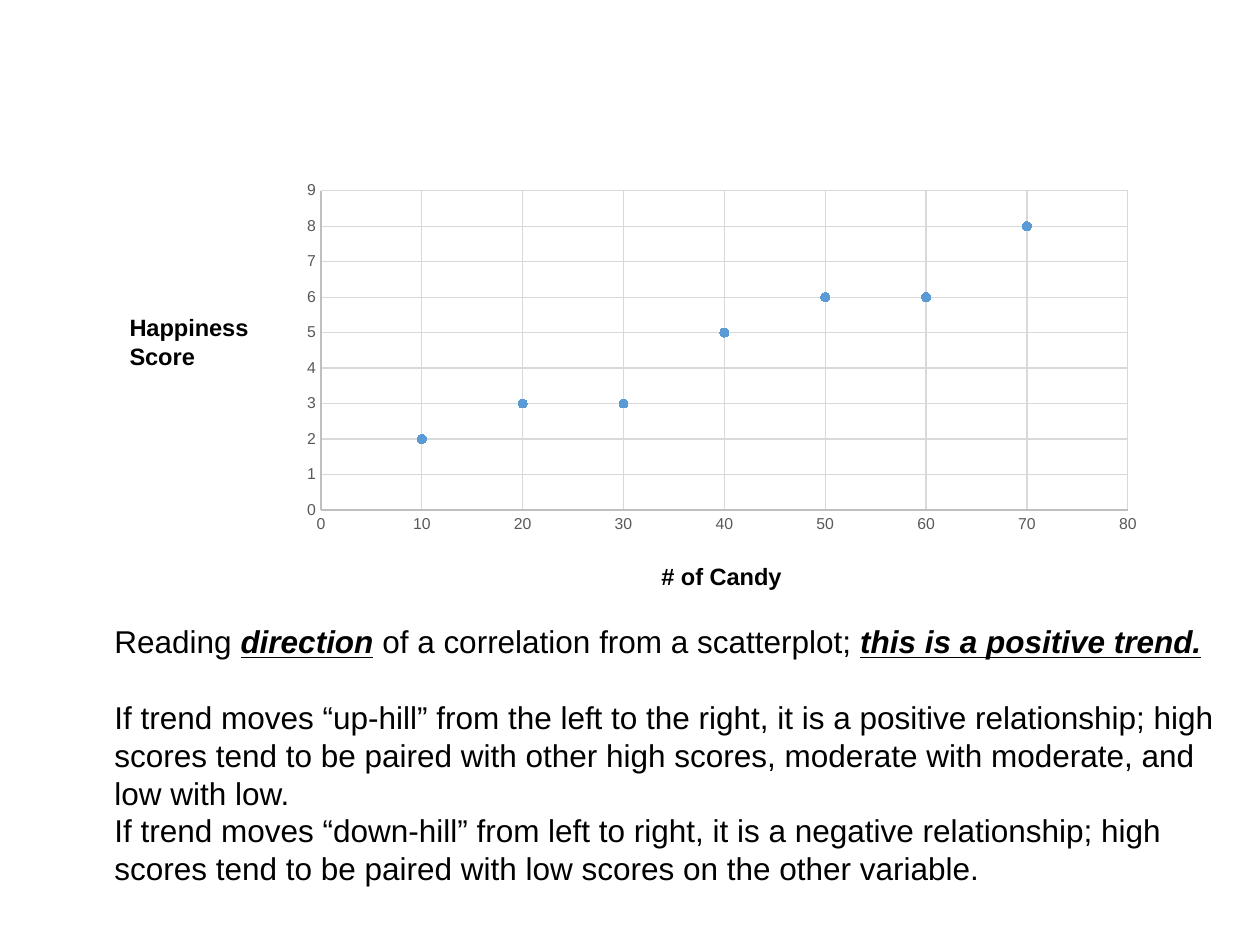
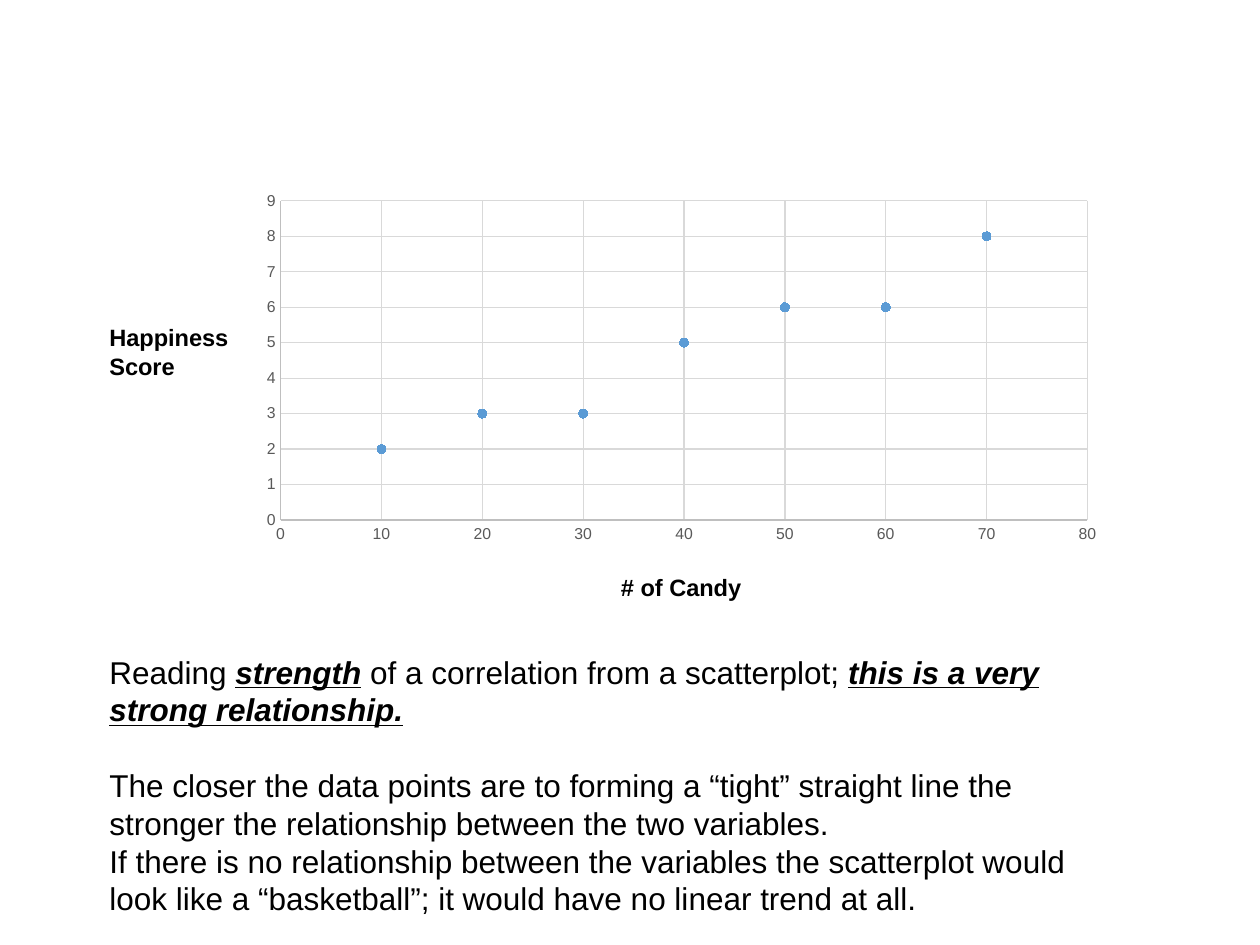
from dataclasses import dataclass

from lxml.etree import SubElement
from pptx import Presentation
from pptx.chart.axis import ValueAxis
from pptx.chart.data import XyChartData
from pptx.dml.color import RGBColor
from pptx.dml.line import LineFormat
from pptx.enum.chart import XL_CHART_TYPE, XL_MARKER_STYLE, XL_TICK_MARK
from pptx.oxml.ns import qn
from pptx.slide import Slide
from pptx.text.text import Font
from pptx.util import Inches, Pt

COLORS = {"text": "000000", "tick": "595959", "axis": "BFBFBF",
          "grid": "D9D9D9", "dot": "5B9BD5"}
FONT = "Arial"
CANDY = (10, 20, 30, 40, 50, 60, 70)
SCORES = (2, 3, 3, 5, 6, 6, 8)
PLOT = {"x": 0.038, "y": 0.043, "w": 0.946, "h": 0.877}

PLAIN = {"size": Pt(18), "name": FONT}
KEY = PLAIN | {"bold": True, "italic": True, "underline": True}
LABEL = {"size": Pt(13.5), "name": FONT, "bold": True}
TICK = {"size": Pt(9), "name": FONT}
BODY_PITCH, LABEL_PITCH = Pt(21.6), Pt(16.5)

Runs = list[tuple[str, dict]]


@dataclass(frozen=True)
class Box:
    left: float
    top: float
    width: float
    height: float

    def place(self) -> tuple:
        return tuple(map(Inches, (self.left, self.top, self.width, self.height)))


@dataclass(frozen=True)
class Lesson:
    chart: Box
    label: Box
    body: Box
    topic: str
    finding: str
    rules: tuple[str, str]


LESSONS = (
    Lesson(
        Box(2.29, 1.39, 6.77, 2.89), Box(0.93, 2.43, 1.36, 0.56),
        Box(0.81, 4.89, 9.19, 2.22),
        "direction", "this is a positive trend.",
        ("If trend moves “up-hill” from the left to the right, it is a positive "
         "relationship; high scores tend to be paired with other high scores, "
         "moderate with moderate, and low with low.",
         "If trend moves “down-hill” from left to right, it is a negative "
         "relationship; high scores tend to be paired with low scores on the "
         "other variable.")),
    Lesson(
        Box(1.97, 1.47, 6.77, 2.89), Box(0.77, 2.51, 1.2, 0.56),
        Box(0.77, 5.13, 7.84, 2.22),
        "strength", "this is a very strong relationship.",
        ("The closer the data points are to forming a “tight” straight line the "
         "stronger the relationship between the two variables.",
         "If there is no relationship between the variables the scatterplot "
         "would look like a “basketball”; it would have no linear trend at all.")),
)


def rgb(name: str) -> RGBColor:
    return RGBColor.from_string(COLORS[name])


def style(font: Font, form: dict, color: str = "text") -> None:
    for key, value in form.items():
        setattr(font, key, value)
    font.color.rgb = rgb(color)


def rule(line: LineFormat, color: str) -> None:
    """Give a chart line its colour and the shared width."""
    line.color.rgb = rgb(color)
    line.width = Pt(0.75)


def add_text(slide: Slide, box: Box, paras: list[Runs], pitch: Pt,
             gap: Pt = Pt(0)) -> None:
    """Write paragraphs at a line pitch, with a gap after the first."""
    frame = slide.shapes.add_textbox(*box.place()).text_frame
    frame.word_wrap = True
    for num, runs in enumerate(paras):
        para = frame.add_paragraph() if num else frame.paragraphs[0]
        para.line_spacing = pitch
        para.space_after = Pt(0) if num else gap
        for text, form in runs:
            run = para.add_run()
            run.text = text
            style(run.font, form)


def set_axis(axis: ValueAxis, top: int, step: int) -> None:
    form = {"minimum_scale": 0, "maximum_scale": top, "major_unit": step,
            "major_tick_mark": XL_TICK_MARK.NONE,
            "minor_tick_mark": XL_TICK_MARK.NONE, "has_major_gridlines": True}
    for key, value in form.items():
        setattr(axis, key, value)
    rule(axis.format.line, "axis")
    rule(axis.major_gridlines.format.line, "grid")
    style(axis.tick_labels.font, TICK, "tick")


def add_scatter(slide: Slide, box: Box) -> None:
    data = XyChartData()
    points = data.add_series("Series 1")
    for count, score in zip(CANDY, SCORES):
        points.add_data_point(count, score)
    chart = slide.shapes.add_chart(
        XL_CHART_TYPE.XY_SCATTER, *box.place(), data).chart
    chart.has_title = chart.has_legend = False
    style(chart.font, {"size": Pt(10), "name": FONT})
    set_axis(chart.category_axis, 80, 10)
    set_axis(chart.value_axis, 9, 1)

    plot = chart.plots[0]
    plot.vary_by_categories = False
    series = plot.series[0]
    series.format.line.fill.background()
    marker = series.marker
    marker.style, marker.size = XL_MARKER_STYLE.CIRCLE, 5
    marker.format.fill.solid()
    marker.format.fill.fore_color.rgb = rgb("dot")
    rule(marker.format.line, "dot")
    fix_plot(chart.element.find(".//" + qn("c:plotArea")))


def fix_plot(area) -> None:
    """Pin the inner plot area to its share of the chart."""
    layout = area.find(qn("c:layout"))
    if layout is None:
        layout = area.makeelement(qn("c:layout"))
        area.insert(0, layout)
    manual = SubElement(layout, qn("c:manualLayout"))
    parts = [("layoutTarget", "inner"), ("xMode", "edge"), ("yMode", "edge")]
    for tag, value in parts + list(PLOT.items()):
        SubElement(manual, qn(f"c:{tag}")).set("val", str(value))


def add_lesson(slide: Slide, item: Lesson) -> None:
    add_scatter(slide, item.chart)
    below = Box(item.chart.left + 2.86, item.chart.top + 3.02, 1.29, 0.33)
    add_text(slide, below, [[("# of Candy", LABEL)]], LABEL_PITCH)
    add_text(slide, item.label,
             [[(word, LABEL)] for word in ("Happiness", "Score")], LABEL_PITCH)
    lead = [("Reading ", PLAIN), (item.topic, KEY),
            (" of a correlation from a scatterplot; ", PLAIN),
            (item.finding, KEY)]
    rules = [[(text, PLAIN)] for text in item.rules]
    add_text(slide, item.body, [lead, *rules], BODY_PITCH, gap=BODY_PITCH)


def main() -> None:
    deck = Presentation()
    deck.slide_width, deck.slide_height = Inches(10), Inches(7.5)
    blank = deck.slide_layouts[6]
    for item in LESSONS:
        add_lesson(deck.slides.add_slide(blank), item)
    deck.save("out.pptx")


if __name__ == "__main__":
    main()
